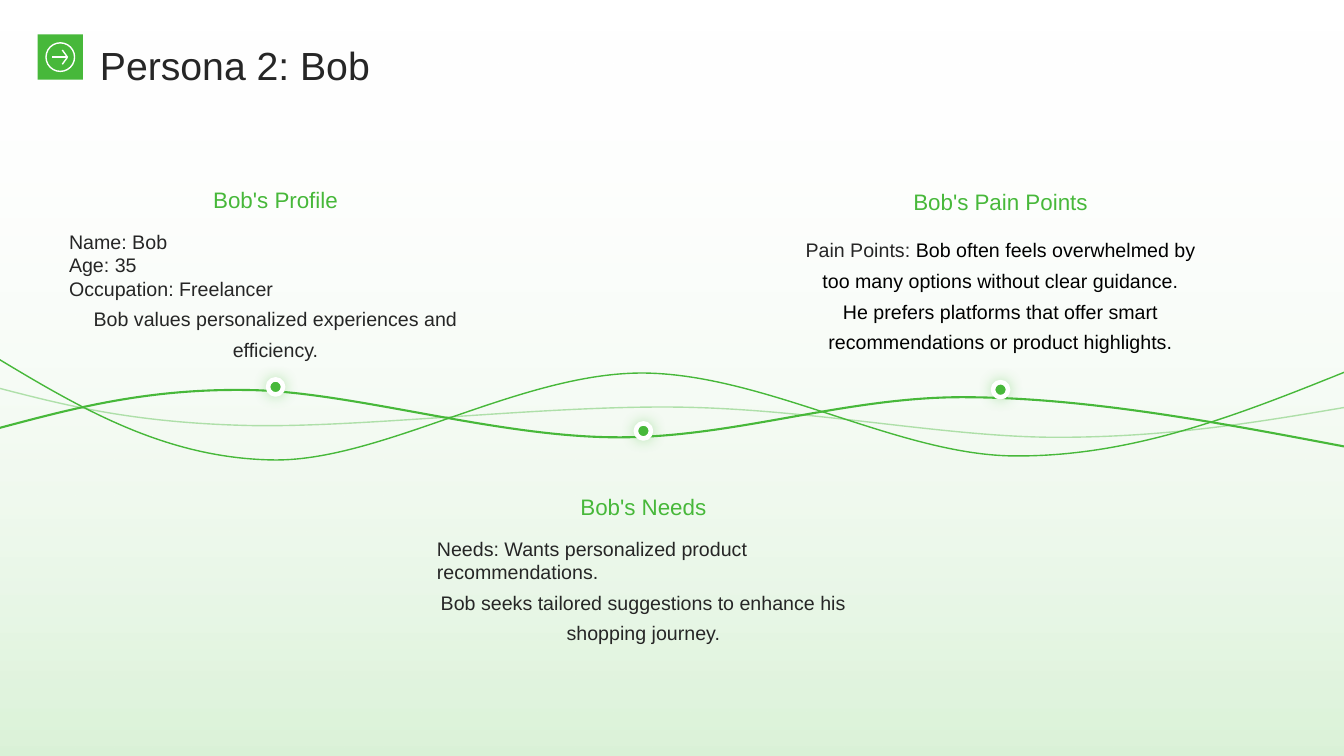
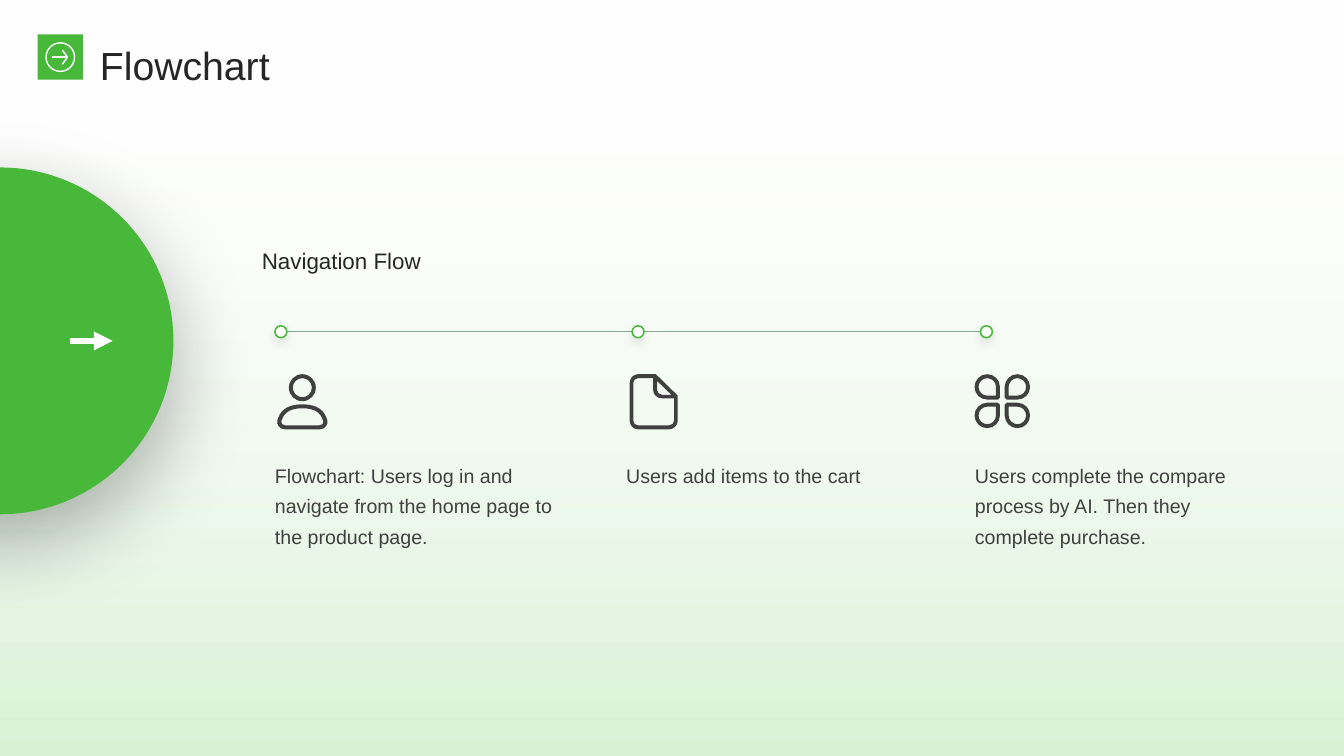
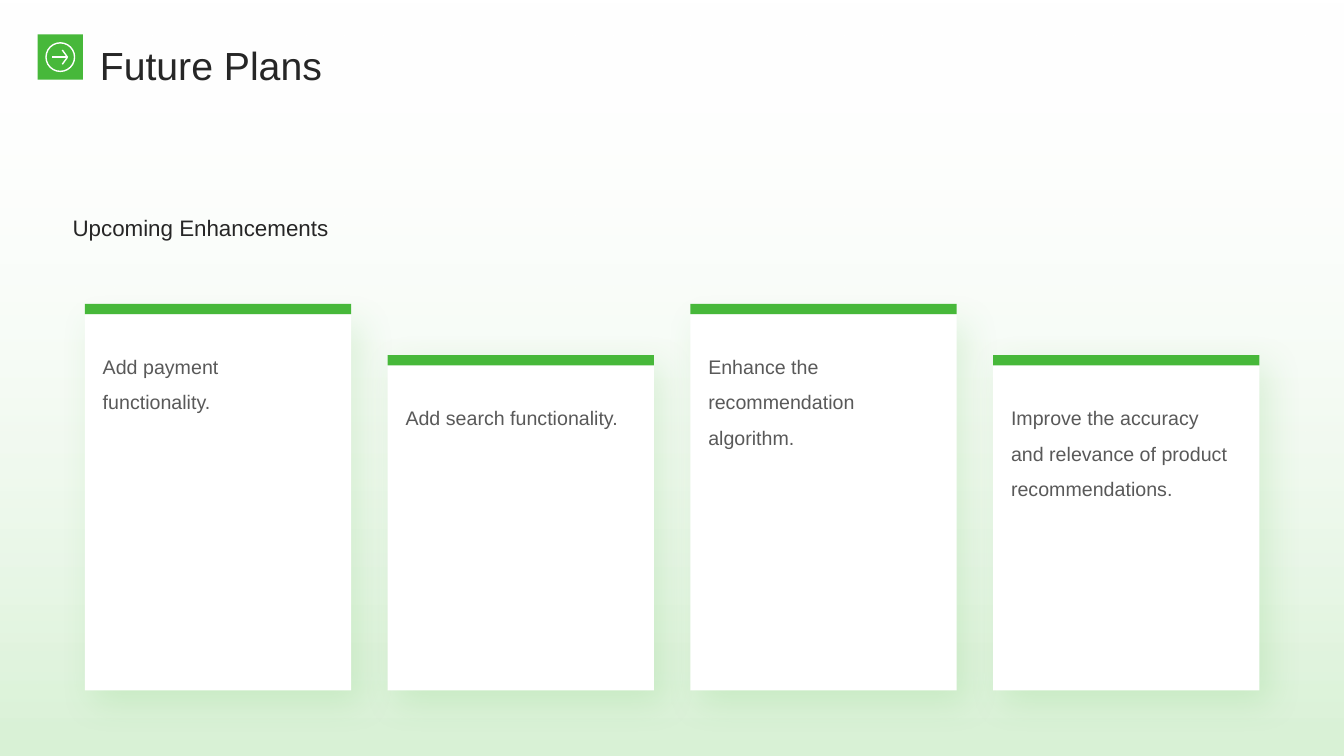
import dataclasses

import lxml.etree
import pptx
import pptx.dml.color
import pptx.enum.shapes
import pptx.enum.text
import pptx.oxml.ns
import pptx.util

Cm = pptx.util.Cm
Pt = pptx.util.Pt
qn = pptx.oxml.ns.qn
SHAPE = pptx.enum.shapes.MSO_SHAPE
ANCHOR = pptx.enum.text.MSO_ANCHOR
ALIGN = pptx.enum.text.PP_ALIGN


@dataclasses.dataclass(frozen=True)
class Theme:
    font: str = "Arial"
    green: str = "47B83A"
    glow: str = "55C548"
    mint: str = "D9F2D6"
    sage: str = "87A896"
    white: str = "FFFFFF"
    black: str = "000000"
    ink: str = "262626"
    icon: str = "404040"
    muted: str = "595959"
    title_pt: int = 28
    heading_pt: int = 16
    body_pt: int = 14
    width: float = 33.87
    height: float = 19.05


THEME = Theme()


@dataclasses.dataclass(frozen=True)
class Line:
    """One paragraph; lead is an opening phrase in the ink colour."""
    text: str
    colour: str = THEME.ink
    align: ALIGN = ALIGN.LEFT
    spacing: float = 1.3
    lead: str = ""


@dataclasses.dataclass(frozen=True)
class Shadow:
    colour: str
    opacity: int
    blur: float
    distance: float = 0
    angle: int = 90


MARKER_GLOW = Shadow(THEME.glow, 40, 10)
DISC_SHADOW = Shadow(THEME.black, 30, 60, 20)
NODE_SHADOW = Shadow(THEME.black, 11, 7, 3)
CARD_SHADOW = Shadow(THEME.green, 15, 25, 10, 50)


def rgb(colour):
    return pptx.dml.color.RGBColor.from_string(colour)


def set_opacity(colour_element, percent):
    alpha = lxml.etree.SubElement(colour_element, qn("a:alpha"))
    alpha.set("val", str(percent * 1000))


def set_line(line, colour, weight):
    line.color.rgb = rgb(colour)
    line.width = Pt(weight)


def paint(shape, fill=None, outline=None, weight=1, shadow=None):
    if fill:
        shape.fill.solid()
        shape.fill.fore_color.rgb = rgb(fill)
    else:
        shape.fill.background()
    if outline:
        set_line(shape.line, outline, weight)
    else:
        shape.line.fill.background()
    shape.shadow.inherit = False
    if shadow:
        effects = shape._element.spPr.find(qn("a:effectLst"))
        outer = lxml.etree.SubElement(effects, qn("a:outerShdw"))
        outer.set("blurRad", str(Pt(shadow.blur)))
        outer.set("dist", str(Pt(shadow.distance)))
        outer.set("dir", str(shadow.angle * 60000))
        outer.set("algn", "ctr")
        outer.set("rotWithShape", "0")
        colour = lxml.etree.SubElement(outer, qn("a:srgbClr"))
        colour.set("val", shadow.colour)
        set_opacity(colour, shadow.opacity)


def add_shape(shapes, kind, box, **look):
    shape = shapes.add_shape(kind, *map(Cm, box))
    paint(shape, **look)
    return shape


def add_dot(shapes, centre_x, centre_y, size, **look):
    box = (centre_x - size / 2, centre_y - size / 2, size, size)
    return add_shape(shapes, SHAPE.OVAL, box, **look)


def add_stroke(shapes, start, end, colour, weight, arrow=False):
    stroke = shapes.add_connector(
        pptx.enum.shapes.MSO_CONNECTOR.STRAIGHT, *map(Cm, start + end))
    set_line(stroke.line, colour, weight)
    if arrow:
        tip = lxml.etree.SubElement(stroke.line._get_or_add_ln(), qn("a:tailEnd"))
        tip.set("type", "triangle")
    lxml.etree.SubElement(stroke._element.spPr, qn("a:effectLst"))


def curve_handles(start, segment):
    """Control points of a segment: cubic (6 numbers), corner turn (4), line (2)."""
    if len(segment) == 6:
        return [segment[:2], segment[2:4]]
    if len(segment) == 4:
        corner, end = segment[:2], segment[2:]
        return [tuple(p + 0.55 * (c - p) for p, c in zip(knot, corner))
                for knot in (start, end)]
    return []


def add_outline(shapes, contours, closed=True, **look):
    """Draw contours, each a start point followed by its segments."""
    def emu(point):
        return tuple(Cm(value) for value in point)

    builder = shapes.build_freeform(*emu(contours[0][0]))
    handles = []
    for index, (start, *segments) in enumerate(contours):
        if index:
            builder.move_to(*emu(start))
        knots = [segment[-2:] for segment in segments]
        builder.add_line_segments([emu(knot) for knot in knots], close=closed)
        handles += [curve_handles(*pair) for pair in zip([start] + knots, segments)]
    outline = builder.convert_to_shape()
    steps = list(outline._element.iter(qn("a:lnTo")))
    for step, controls in zip(steps, handles):
        if not controls:
            continue
        step.tag = qn("a:cubicBezTo")
        for position, (x, y) in enumerate(controls):
            point = lxml.etree.Element(qn("a:pt"))
            point.set("x", str(Cm(x) - outline.left))
            point.set("y", str(Cm(y) - outline.top))
            step.insert(position, point)
    paint(outline, **look)
    return outline


def add_text(slide, box, lines, size=THEME.body_pt, anchor=ANCHOR.TOP,
             insets=(0, 0, 0, 0)):
    frame = slide.shapes.add_textbox(*map(Cm, box)).text_frame
    frame.word_wrap = True
    frame.vertical_anchor = anchor
    (frame.margin_left, frame.margin_top,
     frame.margin_right, frame.margin_bottom) = map(Cm, insets)
    for index, line in enumerate(lines):
        paragraph = frame.add_paragraph() if index else frame.paragraphs[0]
        paragraph.alignment = line.align
        paragraph.line_spacing = line.spacing
        paragraph.font.name = THEME.font
        paragraph.font.size = Pt(size)
        paragraph.font.color.rgb = rgb(line.colour)
        if line.lead:
            lead = paragraph.add_run()
            lead.text = line.lead
            lead.font.color.rgb = rgb(THEME.ink)
        paragraph.add_run().text = line.text


def add_backdrop(slide, top):
    backdrop = add_shape(slide.shapes, SHAPE.RECTANGLE,
                         (0, top, THEME.width, THEME.height))
    backdrop.fill.gradient()
    backdrop.fill.gradient_angle = 270
    stops = backdrop.fill.gradient_stops
    for stop, position, colour in zip(stops, (0, 1), (THEME.white, THEME.mint)):
        stop.position = position
        stop.color.rgb = rgb(colour)
    set_opacity(stops[0]._gs.find(qn("a:srgbClr")), 0)


def add_header(slide, title):
    add_text(slide, (2.52, 0.69, 28.83, 1.5), [Line(title)], THEME.title_pt)
    add_shape(slide.shapes, SHAPE.RECTANGLE, (0.95, 0.87, 1.14, 1.14),
              fill=THEME.green)
    badge = slide.shapes.add_group_shape().shapes
    add_dot(badge, 1.52, 1.44, 0.72, outline=THEME.white)
    tip = (1.7, 1.44)
    for start in ((1.32, 1.44), (1.57, 1.62), (1.57, 1.26)):
        add_stroke(badge, start, tip, THEME.white, 1)


def new_slide(deck, title, draw_content, backdrop_top=0):
    slide = deck.slides.add_slide(deck.slide_layouts[6])
    add_backdrop(slide, backdrop_top)
    draw_content(slide)
    add_header(slide, title)


def draw_waves(shapes):
    bold = [(-0.03, 10.79),
            (1.85, 10.29, 3.73, 9.78, 6.32, 9.83),
            (8.89, 9.88, 12.47, 11, 15.49, 11.02),
            (18.49, 11.05, 21.31, 9.98, 24.38, 10.01),
            (27.43, 10.03, 30.66, 10.64, 33.87, 11.25)]
    pale = [(-0.15, 9.75),
            (1.55, 10.19, 3.25, 10.64, 6.15, 10.72),
            (9.02, 10.8, 13.69, 10.21, 17.12, 10.26),
            (20.52, 10.31, 23.83, 11.02, 26.64, 11.02),
            (29.44, 11.02, 31.7, 10.64, 33.93, 10.26)]
    thin = [(-0.08, 9.02),
            (2.03, 10.29, 4.14, 11.53, 6.83, 11.59),
            (9.55, 11.66, 13.03, 9.42, 16.15, 9.4),
            (19.28, 9.4, 22.68, 11.51, 25.65, 11.49),
            (28.6, 11.49, 31.24, 10.44, 33.91, 9.37)]
    for wave, weight, opacity in ((bold, 1.5, 100), (pale, 1, 40), (thin, 1, 100)):
        curve = add_outline(shapes, [wave], closed=False,
                            outline=THEME.green, weight=weight)
        if opacity < 100:
            stroke = curve.line._get_or_add_ln()
            set_opacity(stroke.find(".//" + qn("a:srgbClr")), opacity)


def draw_persona(slide):
    draw_waves(slide.shapes)
    topics = [
        ("Bob's Profile", 1.74, 3.58, 9.75, [
            Line("Name: Bob", spacing=1),
            Line("Age: 35", spacing=1),
            Line("Occupation: Freelancer", spacing=1),
            Line("Bob values personalized experiences and efficiency.",
                 align=ALIGN.CENTER)]),
        ("Bob's Pain Points", 20.01, 3.62, 9.82, [
            Line("Bob often feels overwhelmed by too many options without clear "
                 "guidance.", THEME.black, ALIGN.CENTER, lead="Pain Points: "),
            Line("He prefers platforms that offer smart recommendations or product "
                 "highlights.", THEME.black, ALIGN.CENTER)]),
        ("Bob's Needs", 11.01, 11.31, 10.86, [
            Line("Needs: Wants personalized product recommendations.", spacing=1),
            Line("Bob seeks tailored suggestions to enhance his shopping journey.",
                 align=ALIGN.CENTER)]),
    ]
    width = 10.41
    for heading, left, top, marker_y, details in topics:
        add_dot(slide.shapes, left + width / 2, marker_y, 0.38, fill=THEME.green,
                outline=THEME.white, weight=3.25, shadow=MARKER_GLOW)
        add_text(slide, (left, top + 2.21, width, 3.45), details)
        add_text(slide, (left, top, width, 1.93),
                 [Line(heading, THEME.green, ALIGN.CENTER, 1)],
                 THEME.heading_pt, ANCHOR.BOTTOM, (0.25, 0.13, 0.25, 0.13))


def petal(x, y, radius, side_x, side_y, rounding=0):
    """Contour of a disc drawn out to a corner towards side_x, side_y."""
    tip_x, tip_y = x + side_x * radius, y + side_y * radius
    far_x, far_y = x - side_x * radius, y - side_y * radius
    return [(tip_x, y),
            (tip_x, tip_y - side_y * rounding),
            (tip_x, tip_y, tip_x - side_x * rounding, tip_y),
            (x, tip_y),
            (far_x, tip_y, far_x, y),
            (far_x, far_y, x, far_y),
            (tip_x, far_y, tip_x, y)]


def ring(x, y, radius):
    return petal(x, y, radius, 1, 1, rounding=radius)


def user_contours():
    shoulders = [(7.62, 10.19),
                 (7.21, 10.19, 7.06, 10.36, 6.99, 10.59),
                 (6.96, 10.69, 7.04, 10.82, 7.19, 10.82),
                 (8.05, 10.82),
                 (8.2, 10.82, 8.28, 10.69, 8.25, 10.59),
                 (8.18, 10.36, 8.03, 10.19, 7.62, 10.19)]
    chest = [(7.62, 10.29),
             (7.87, 10.29, 8.08, 10.36, 8.15, 10.62),
             (8.16, 10.67, 8.12, 10.72, 8.05, 10.72),
             (7.19, 10.72),
             (7.12, 10.72, 7.08, 10.67, 7.09, 10.62),
             (7.16, 10.36, 7.37, 10.29, 7.62, 10.29)]
    return [ring(7.62, 9.77, 0.34), ring(7.62, 9.77, 0.24), shoulders, chest]


def document_contours():
    sheet = [(16.53, 9.43), (17.08, 9.97), (17.08, 10.6),
             (17.08, 10.82, 16.86, 10.82), (16.08, 10.82),
             (15.87, 10.82, 15.87, 10.6), (15.87, 9.65),
             (15.87, 9.43, 16.08, 9.43)]
    fold = [(16.56, 9.6), (16.92, 9.95), (16.69, 9.95), (16.56, 9.95, 16.56, 9.83)]
    inside = [(16.46, 9.53), (16.46, 9.83), (16.46, 10.04, 16.69, 10.04),
              (16.99, 10.04), (16.99, 10.6),
              (16.99, 10.72, 16.86, 10.72), (16.08, 10.72),
              (15.96, 10.72, 15.96, 10.6), (15.96, 9.65),
              (15.96, 9.53, 16.08, 9.53)]
    return [sheet, fold, inside]


def clover_contours():
    x, y = 25.26, 10.11
    return [petal(x - side_x * 0.38, y - side_y * 0.36, radius, side_x, side_y, rounding)
            for side_x in (1, -1) for side_y in (1, -1)
            for radius, rounding in ((0.32, 0.05), (0.22, 0))]


def draw_flowchart(slide):
    shapes = slide.shapes
    add_dot(shapes, 0, 8.59, 8.74, fill=THEME.green, shadow=DISC_SHADOW)
    add_stroke(shapes, (1.77, 8.59), (2.84, 8.59), THEME.white, 4.5, arrow=True)
    add_stroke(shapes, (7.14, 8.36), (24.71, 8.36), THEME.sage, 0.82)
    steps = [
        (6.93, 7.08, user_contours(),
         "Flowchart: Users log in and navigate from the home page to the product page."),
        (15.78, 16.08, document_contours(), "Users add items to the cart"),
        (24.57, 24.86, clover_contours(),
         "Users complete the compare process by AI. Then they complete purchase."),
    ]
    for left, node_x, icon, text in steps:
        add_dot(shapes, node_x, 8.36, 0.3, fill=THEME.white, outline=THEME.green,
                weight=1.1, shadow=NODE_SHADOW)
        add_outline(shapes, icon, fill=THEME.icon)
        add_text(slide, (left, 11.41, 7.75, 4.6), [Line(text, THEME.icon)],
                 insets=(0, 0.1, 0.6, 0.1))
    add_text(slide, (6.6, 4.51, 25.17, 2.39), [Line("Navigation Flow", spacing=1.5)],
             THEME.heading_pt, ANCHOR.BOTTOM)


def draw_plans(slide):
    plans = [
        "Add payment functionality.",
        "Add search functionality.",
        "Enhance the recommendation algorithm.",
        "Improve the accuracy and relevance of product recommendations.",
    ]
    width, pitch, bottom, band = 6.71, 7.63, 17.4, 0.26
    for index, plan in enumerate(plans):
        lowered = index % 2
        left = 2.14 + index * pitch
        top = 7.66 + lowered * 1.29
        card_top = top if lowered else top + band
        add_shape(slide.shapes, SHAPE.RECTANGLE,
                  (left, card_top, width, bottom - card_top),
                  fill=THEME.white, shadow=CARD_SHADOW)
        add_shape(slide.shapes, SHAPE.RECTANGLE, (left, top, width, band),
                  fill=THEME.green)
        add_text(slide, (left + 0.45, top + 0.99, 5.64, 7.47),
                 [Line(plan, THEME.muted, spacing=1.5)])
    add_text(slide, (1.83, 4.88, 24.43, 1.5), [Line("Upcoming Enhancements")],
             THEME.heading_pt, ANCHOR.MIDDLE)


def main():
    deck = pptx.Presentation()
    deck.slide_width = Cm(THEME.width)
    deck.slide_height = Cm(THEME.height)
    new_slide(deck, "Persona 2: Bob", draw_persona, backdrop_top=0.69)
    new_slide(deck, "Flowchart", draw_flowchart)
    new_slide(deck, "Future Plans", draw_plans)
    deck.save("out.pptx")


if __name__ == "__main__":
    main()
